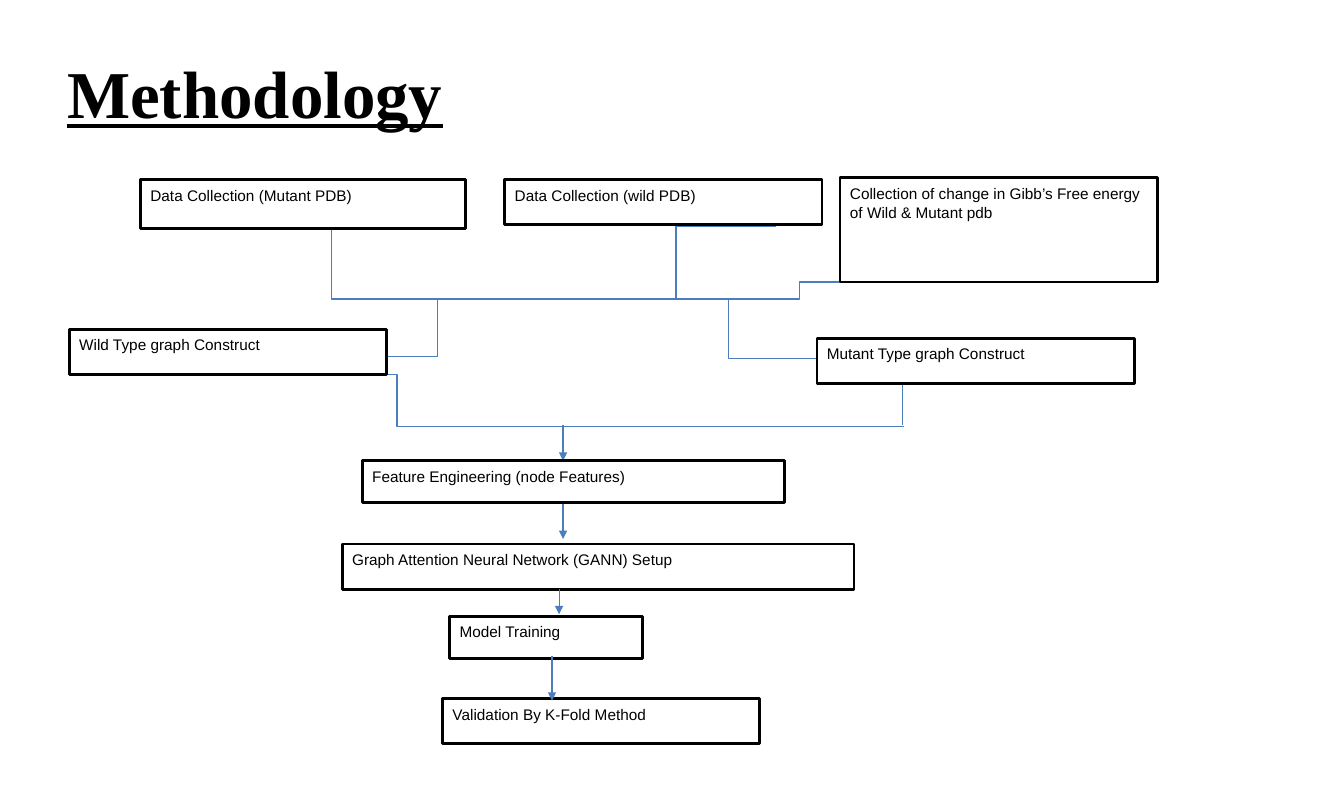
"""Builds the Methodology flowchart slide."""
import dataclasses

import lxml.etree
import pptx
import pptx.dml.color
import pptx.enum.shapes
import pptx.enum.text
import pptx.oxml.ns
import pptx.util

Inches = pptx.util.Inches
Pt = pptx.util.Pt
qn = pptx.oxml.ns.qn


@dataclasses.dataclass(frozen=True)
class Theme:
    """Colours, fonts and type sizes of the slide."""
    ink: str = "000000"
    paper: str = "FFFFFF"
    flow: str = "4B7EBC"
    title_font: str = "Times New Roman"
    body_font: str = "Arial"
    title_size: int = 48
    body_size: int = 11
    box_line: float = 2
    flow_line: float = 1


THEME = Theme()

BOXES = [
    ("Data Collection (wild PDB)", 5.03, 1.79, 3.16, 0.45),
    ("Data Collection (Mutant PDB)", 1.4, 1.79, 3.24, 0.49),
    ("Collection of change in Gibb’s Free energy of Wild & Mutant pdb", 8.37, 1.77, 3.16, 1.04),
    ("Wild Type graph Construct", 0.69, 3.28, 3.16, 0.45),
    ("Mutant Type graph Construct", 8.14, 3.37, 3.16, 0.45),
    ("Feature Engineering (node Features)", 3.61, 4.59, 4.21, 0.42),
    ("Graph Attention Neural Network (GANN) Setup", 3.41, 5.42, 5.1, 0.45),
    ("Model Training", 4.48, 6.14, 1.92, 0.42),
    ("Validation By K-Fold Method", 4.41, 6.96, 3.16, 0.45),
]

ELBOWS = [
    (2.83, 2.28, 6.05, 2.98, 0.146),
    (7.73, 2.25, 5.74, 2.98, 0.5),
    (9.34, 2.81, 6.59, 2.98, 0.5),
    (5.99, 2.98, 8.53, 3.57, 0.5),
    (4.97, 2.98, 3.75, 3.55, 0.5),
    (2.24, 3.73, 5.67, 4.25, 0.5),
]

MERGE_LINES = [(8.99, 3.79, 8.99, 4.23), (9.01, 4.25, 5.61, 4.25)]
MERGE_ARROWS = [(5.61, 4.23, 5.61, 4.59), (5.61, 4.97, 5.61, 5.37)]
STEP_ARROWS = [(5.57, 5.87, 5.57, 6.12, 0.75), (5.5, 6.54, 5.5, 6.98, THEME.flow_line)]


def rgb(value):
    """Return a colour object for a hex value."""
    return pptx.dml.color.RGBColor.from_string(value)


def format_text(paragraph, font_name, size):
    """Give every run of a paragraph its font, size and colour."""
    for run in paragraph.runs:
        run.font.name = font_name
        run.font.size = Pt(size)
        run.font.color.rgb = rgb(THEME.ink)


def set_title(slide, text):
    """Place and format the title placeholder."""
    title = slide.shapes.title
    title.left, title.top = Inches(0.67), Inches(0.31)
    title.width, title.height = Inches(12.05), Inches(1.31)
    frame = title.text_frame
    frame.text = text
    frame.auto_size = pptx.enum.text.MSO_AUTO_SIZE.NONE
    frame.vertical_anchor = pptx.enum.text.MSO_ANCHOR.MIDDLE
    frame.margin_left = frame.margin_right = frame.margin_top = frame.margin_bottom = 0
    paragraph = frame.paragraphs[0]
    paragraph.alignment = pptx.enum.text.PP_ALIGN.LEFT
    paragraph.line_spacing = 0.9
    format_text(paragraph, THEME.title_font, THEME.title_size)
    font = paragraph.runs[0].font
    font.bold = font.underline = True


def add_box(slide, text, left, top, width, height):
    """Add one outlined step of the flowchart."""
    shape = slide.shapes.add_shape(
        pptx.enum.shapes.MSO_SHAPE.RECTANGLE,
        Inches(left), Inches(top), Inches(width), Inches(height))
    shape.shadow.inherit = False
    shape.fill.solid()
    shape.fill.fore_color.rgb = rgb(THEME.paper)
    shape.line.color.rgb = rgb(THEME.ink)
    shape.line.width = Pt(THEME.box_line)
    frame = shape.text_frame
    frame.text = text
    frame.word_wrap = True
    frame.vertical_anchor = pptx.enum.text.MSO_ANCHOR.TOP
    paragraph = frame.paragraphs[0]
    paragraph.alignment = pptx.enum.text.PP_ALIGN.LEFT
    paragraph.line_spacing = 1.07
    paragraph.space_after = Pt(8)
    format_text(paragraph, THEME.body_font, THEME.body_size)


def add_flow(slide, x1, y1, x2, y2, width=THEME.flow_line, bend=None, arrow=False):
    """Add a straight or bent connector, with an arrowhead if asked."""
    kinds = pptx.enum.shapes.MSO_CONNECTOR
    kind = kinds.STRAIGHT if bend is None else kinds.ELBOW
    connector = slide.shapes.add_connector(
        kind, Inches(x1), Inches(y1), Inches(x2), Inches(y2))
    connector.line.color.rgb = rgb(THEME.flow)
    connector.line.width = Pt(width)
    properties = connector.element.spPr
    lxml.etree.SubElement(properties, qn("a:effectLst"))
    if bend is not None:
        guides = properties.find(qn("a:prstGeom")).get_or_add_avLst()
        lxml.etree.SubElement(
            guides, qn("a:gd"), name="adj1", fmla=f"val {round(bend * 100000)}")
    if arrow:
        lxml.etree.SubElement(properties.find(qn("a:ln")), qn("a:tailEnd"), type="triangle")


def main():
    """Build and save the slide."""
    presentation = pptx.Presentation()
    presentation.slide_width = Inches(13.39)
    presentation.slide_height = Inches(7.84)
    slide = presentation.slides.add_slide(presentation.slide_layouts[5])
    set_title(slide, "Methodology")
    for *ends, bend in ELBOWS:
        add_flow(slide, *ends, bend=bend)
    for ends in MERGE_LINES:
        add_flow(slide, *ends)
    for ends in MERGE_ARROWS:
        add_flow(slide, *ends, arrow=True)
    for box in BOXES:
        add_box(slide, *box)
    for arrow in STEP_ARROWS:
        add_flow(slide, *arrow, arrow=True)
    presentation.save("out.pptx")


if __name__ == "__main__":
    main()
